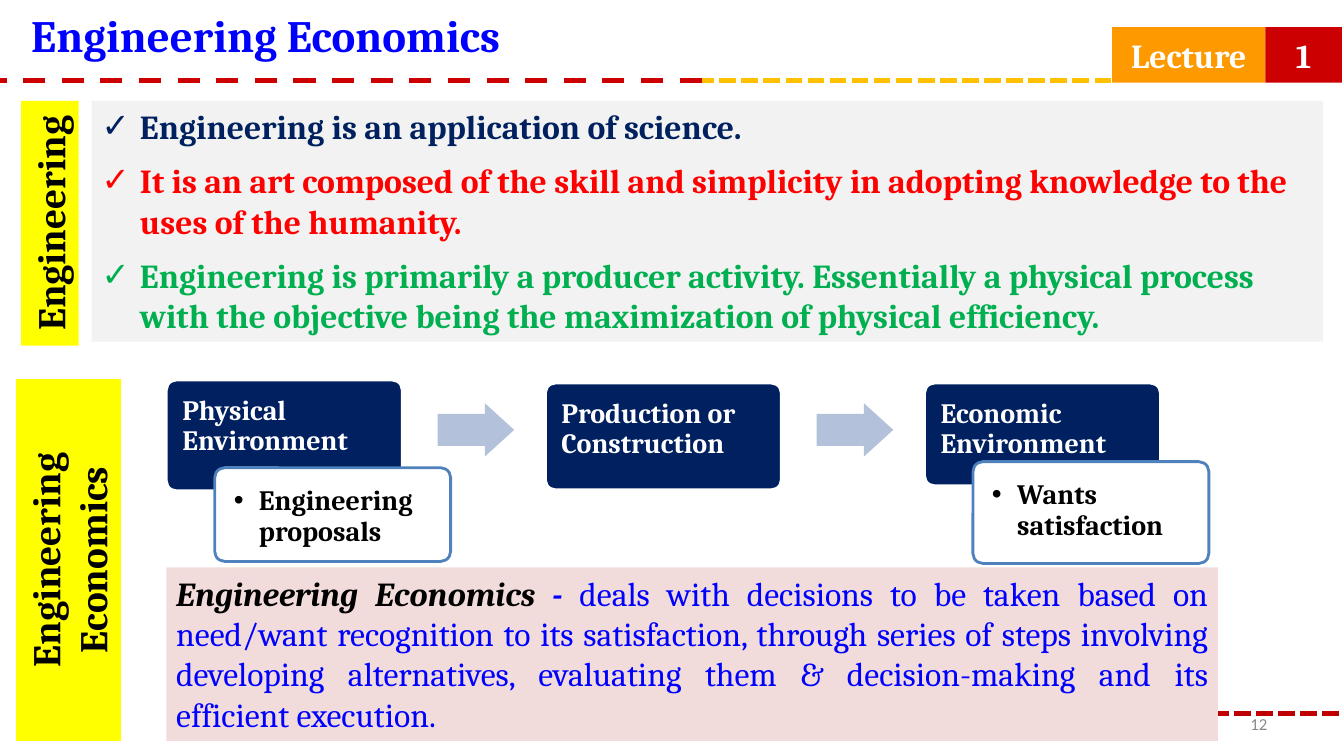
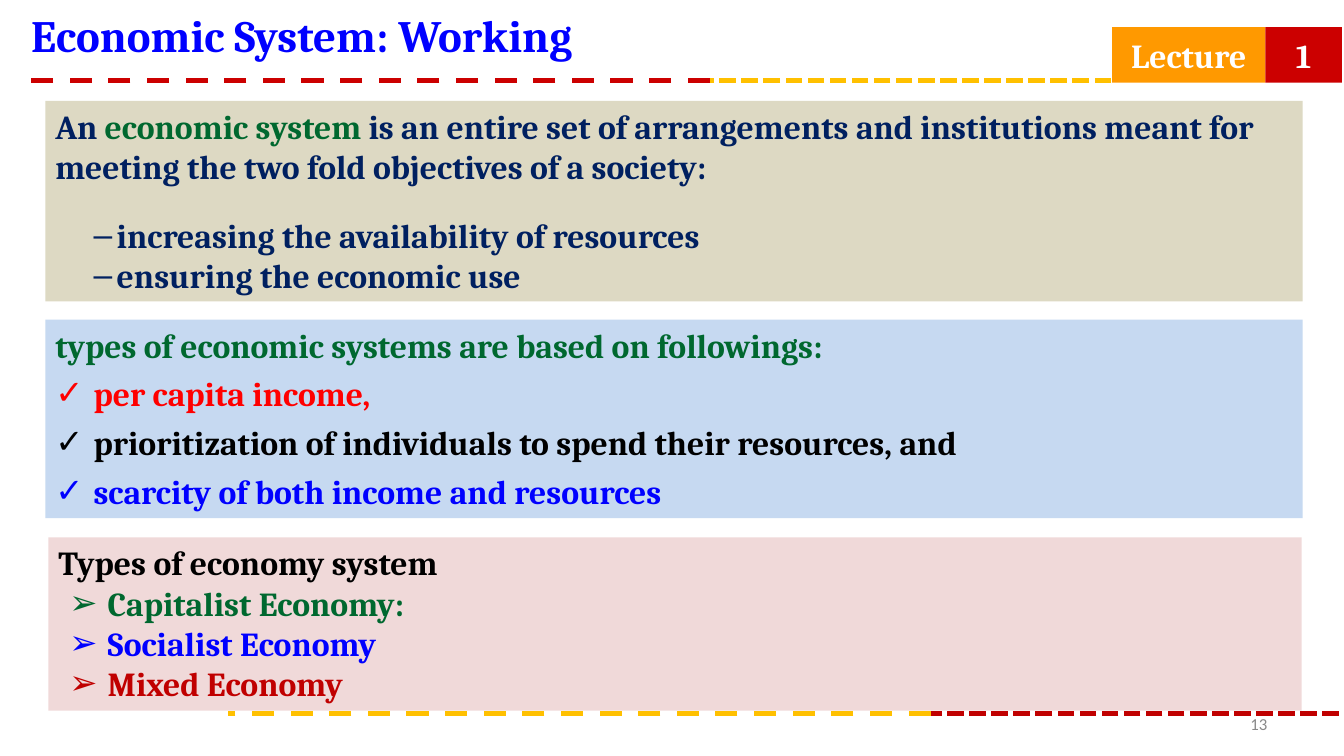
"""Build two lecture slides on engineering economics and economic systems."""
from lxml.etree import SubElement
from pptx import Presentation
from pptx.dml.color import RGBColor
from pptx.enum.dml import MSO_LINE
from pptx.enum.shapes import MSO_CONNECTOR, MSO_SHAPE
from pptx.enum.text import MSO_ANCHOR, MSO_AUTO_SIZE, PP_ALIGN
from pptx.oxml.ns import qn
from pptx.util import Inches, Pt

NAVY, RED, BLUE, BLACK, WHITE = "002060", "FF0000", "0000FF", "000000", "FFFFFF"
GREEN, FOREST, CRIMSON, DARK_RED = "00B050", "00682F", "CC0000", "C00000"
ORANGE, GOLD, YELLOW, GREY = "FF9900", "FFC000", "FFFF00", "898989"
STEEL, ARROW_BLUE = "4F81BD", "B3C1DB"

HEADER_Y, HEADER_END = 0.8, 11.02
FOOTER_Y, FOOTER_SPLIT, FOOTER_END = 7.08, 9.23, 13.28
LECTURE_TAGS = [("Lecture", ORANGE, 11.03, 1.52), ("1", CRIMSON, 12.55, 0.76)]

CHECK = dict(bullet="✓", margin=0.38, hang=0.38)
DASH = dict(bullet="–", margin=0.61, hang=0.23)
ARROWHEAD = dict(bullet="➢", margin=0.49, hang=0.38)
DOT = dict(bullet="•", margin=0.25, hang=0.25)

SLIDES = [
    dict(
        title="Engineering Economics", number="12", header_start=0, header_split=6.96,
        footer_start=FOOTER_SPLIT,
        panels=[
            ((0.91, 1, 12.21, 2.39), "F2F2F2", [
                dict(text="Engineering is an application of science.", color=NAVY, **CHECK),
                dict(text="It is an art composed of the skill and simplicity in adopting "
                          "knowledge to the uses of the humanity.",
                     color=RED, before=10, **CHECK),
                dict(text="Engineering is primarily a producer activity. Essentially a physical "
                          "process with the objective being the maximization of physical "
                          "efficiency.", color=GREEN, before=10, **CHECK)]),
            ((1.65, 5.63, 10.43, 1.72), "F2DCDB", [
                dict(align=PP_ALIGN.JUSTIFY, bold=None, runs=[
                    ("Engineering Economics ", BLACK, True, True),
                    ("- ", BLUE, True, True),
                    ("deals with decisions to be taken based on need/want recognition to its "
                     "satisfaction, through series of steps involving developing alternatives, "
                     "evaluating them & decision-making and its efficient execution.",
                     BLUE, False, False)])]),
        ],
        side_labels=[("Engineering", (0.21, 1, 0.57, 2.43)),
                     ("Engineering Economics", (0.16, 3.76, 1.04, 3.59))],
        steps=[("Physical Environment", 3.77, 1.1, ("Engineering proposals", 4.64, 0.93)),
               ("Production or Construction", 3.8, 1.06, None),
               ("Economic Environment", 3.8, 1.02, ("Wants satisfaction", 4.58, 1.01))],
    ),
    dict(
        title="Economic System: Working", number="13", header_start=0.21, header_split=7.04,
        footer_start=2.26,
        panels=[
            ((0.45, 3.17, 12.47, 1.97), "C6D9F1", [
                dict(text="types of economic systems are based on followings:", color=FOREST),
                dict(text="per capita income,", color=RED, before=6, **CHECK),
                dict(text="prioritization of individuals to spend their resources, and",
                     color=BLACK, before=6, **CHECK),
                dict(text="scarcity of both income and resources",
                     color=BLUE, before=6, **CHECK)]),
            ((0.45, 1, 12.47, 1.99), "DDD9C3", [
                dict(runs=[
                    ("An ", NAVY, None, None), ("economic system ", FOREST, None, None),
                    ("is an entire set of arrangements and institutions meant for meeting the "
                     "two fold objectives of a society:", NAVY, None, None)]),
                dict(text="increasing the availability of resources",
                     color=NAVY, before=20, **DASH),
                dict(text="ensuring the economic use", color=NAVY, **DASH)]),
            ((0.48, 5.33, 12.43, 1.72), "F0D9D9", [
                dict(text="Types of economy system", color=BLACK),
                dict(text="Capitalist Economy:", color=FOREST, **ARROWHEAD),
                dict(text="Socialist Economy", color=BLUE, **ARROWHEAD),
                dict(text="Mixed Economy", color=DARK_RED, **ARROWHEAD)]),
        ],
        side_labels=[], steps=[],
    ),
]

STEP_LEFT, STEP_PITCH, STEP_WIDTH, NOTE_SHIFT = 1.65, 3.76, 2.34, 0.48
ARROW_TOP, ARROW_WIDTH, ARROW_HEIGHT, ARROW_SHIFT = 4, 0.76, 0.53, 2.69
CORNER_RADIUS = 0.1


def rgb(value):
    """Turn a hex string into a colour."""
    return RGBColor.from_string(value)


def add_bullet(paragraph, character, color, margin, hang):
    """Give an unformatted paragraph a hanging bullet."""
    properties = paragraph._p.get_or_add_pPr()
    properties.set("marL", str(Inches(margin)))
    properties.set("indent", str(-Inches(hang)))
    bullet_color = SubElement(properties, qn("a:buClr"))
    SubElement(bullet_color, qn("a:srgbClr")).set("val", color)
    SubElement(properties, qn("a:buFont")).set("typeface", "Arial")
    SubElement(properties, qn("a:buChar")).set("char", character)


def write_paragraph(paragraph, text=None, color=None, runs=(), size=24, name="Cambria", bold=True,
                    align=PP_ALIGN.LEFT, before=0, spacing=None, bullet=None, margin=0, hang=0):
    """Fill one paragraph from plain text or from differently styled runs."""
    if bullet:
        add_bullet(paragraph, bullet, color, margin, hang)
    paragraph.alignment = align
    paragraph.space_before = Pt(before)
    if spacing:
        paragraph.line_spacing = spacing
    paragraph.font.name, paragraph.font.size, paragraph.font.bold = name, Pt(size), bold
    if text:
        paragraph.add_run().text = text
        paragraph.font.color.rgb = rgb(color)
    for content, run_color, run_bold, italic in runs:
        run = paragraph.add_run()
        run.text = content
        run.font.color.rgb = rgb(run_color)
        run.font.bold, run.font.italic = run_bold, italic


def write_text(shape, paragraphs, anchor=MSO_ANCHOR.TOP, insets=(0.1, 0.05, 0.1, 0.05)):
    """Fill a shape with paragraphs given as dicts."""
    frame = shape.text_frame
    frame.word_wrap, frame.auto_size = True, MSO_AUTO_SIZE.NONE
    frame.vertical_anchor = anchor
    frame.margin_left, frame.margin_top, frame.margin_right, frame.margin_bottom = map(
        Inches, insets)
    for index, content in enumerate(paragraphs):
        paragraph = frame.add_paragraph() if index else frame.paragraphs[0]
        write_paragraph(paragraph, **content)


def add_block(slide, box, fill, kind=MSO_SHAPE.RECTANGLE, outline=None):
    """Add a flat filled shape."""
    shape = slide.shapes.add_shape(kind, *map(Inches, box))
    shape.shadow.inherit = False
    shape.fill.solid()
    shape.fill.fore_color.rgb = rgb(fill)
    if outline:
        shape.line.color.rgb = rgb(outline)
        shape.line.width = Pt(2)
    else:
        shape.line.fill.background()
    return shape


def add_rounded(slide, box, fill, outline):
    """Add a rounded block with a fixed corner radius."""
    shape = add_block(slide, box, fill, MSO_SHAPE.ROUNDED_RECTANGLE, outline)
    shape.adjustments[0] = CORNER_RADIUS / min(box[2:])
    return shape


def add_rule(slide, start, end, y, color, dash):
    """Add a thick dashed horizontal rule."""
    rule = slide.shapes.add_connector(
        MSO_CONNECTOR.STRAIGHT, Inches(start), Inches(y), Inches(end), Inches(y))
    rule.line.color.rgb = rgb(color)
    rule.line.width = Pt(3.94)
    rule.line.dash_style = dash
    SubElement(rule._element.spPr, qn("a:effectLst"))


def add_frame(slide, content):
    """Add the title, lecture tag, rules and page number."""
    title = slide.shapes.title
    title.left, title.top, title.width, title.height = map(Inches, (0.21, 0.03, 10.03, 0.64))
    write_text(title, [dict(text=content["title"], color=BLUE, size=32)])
    for text, fill, left, width in LECTURE_TAGS:
        tag = add_block(slide, (left, 0.27, width, 0.55), fill)
        write_text(tag, [dict(text=text, color=WHITE, align=PP_ALIGN.CENTER)], MSO_ANCHOR.MIDDLE)
    split = content["header_split"]
    add_rule(slide, split, content["header_start"], HEADER_Y, CRIMSON, MSO_LINE.DASH)
    add_rule(slide, HEADER_END, split, HEADER_Y, GOLD, MSO_LINE.SQUARE_DOT)
    if content["footer_start"] < FOOTER_SPLIT:
        add_rule(slide, FOOTER_SPLIT, content["footer_start"], FOOTER_Y, GOLD, MSO_LINE.DASH)
    add_rule(slide, FOOTER_END, FOOTER_SPLIT, FOOTER_Y, DARK_RED, MSO_LINE.SQUARE_DOT)
    number = slide.shapes.add_textbox(*map(Inches, (9.56, 7.02, 3.11, 0.33)))
    write_text(number, [dict(text=content["number"], color=GREY, size=12, name="Calibri",
                             bold=False, align=PP_ALIGN.RIGHT)], MSO_ANCHOR.MIDDLE)


def add_side_label(slide, text, box):
    """Add a yellow label that reads upwards inside the given box."""
    left, top, width, height = box
    turned = (left + (width - height) / 2, top + (height - width) / 2, height, width)
    label = add_block(slide, turned, YELLOW)
    label.rotation = 270
    write_text(label, [dict(text=text, color=BLACK, size=28, align=PP_ALIGN.CENTER)])


def add_process(slide, steps):
    """Add the row of steps with their notes and the arrows between them."""
    for index, (text, top, height, note) in enumerate(steps):
        left = STEP_LEFT + index * STEP_PITCH
        step = add_rounded(slide, (left, top, STEP_WIDTH, height), NAVY, WHITE)
        write_text(step, [dict(text=text, color=WHITE, size=20, spacing=0.9)],
                   insets=(0.13, 0.13, 0.13, 0.35))
        if note:
            note_text, note_top, note_height = note
            box = (left + NOTE_SHIFT, note_top, STEP_WIDTH, note_height)
            write_text(add_rounded(slide, box, WHITE, STEEL),
                       [dict(text=note_text, color=BLACK, size=20, spacing=0.9, **DOT)],
                       insets=(0.16,) * 4)
        if index < len(steps) - 1:
            box = (left + ARROW_SHIFT, ARROW_TOP, ARROW_WIDTH, ARROW_HEIGHT)
            arrow = add_block(slide, box, ARROW_BLUE, MSO_SHAPE.RIGHT_ARROW)
            arrow.adjustments[0], arrow.adjustments[1] = 0.6, 0.55


def main():
    """Build and save the presentation."""
    presentation = Presentation()
    presentation.slide_width, presentation.slide_height = Inches(13.33), Inches(7.5)
    for content in SLIDES:
        slide = presentation.slides.add_slide(presentation.slide_layouts[5])
        add_frame(slide, content)
        add_process(slide, content["steps"])
        for box, fill, paragraphs in content["panels"]:
            write_text(add_block(slide, box, fill), paragraphs)
        for text, box in content["side_labels"]:
            add_side_label(slide, text, box)
    presentation.save("out.pptx")


if __name__ == "__main__":
    main()
